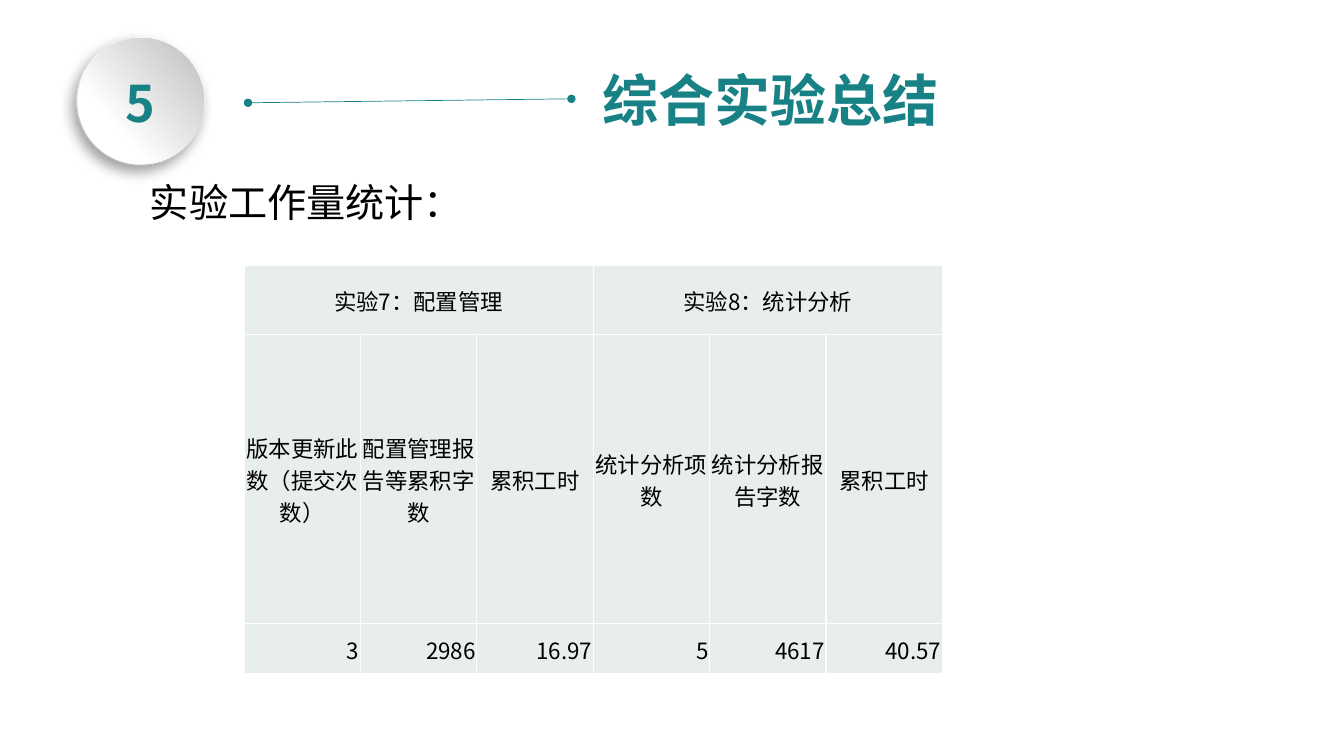
from lxml import etree
from pptx import Presentation
from pptx.dml.color import RGBColor
from pptx.enum import shapes, text
from pptx.oxml import ns, xmlchemy as xc
from pptx.util import Cm, Pt

FONT = "Noto Sans CJK SC"
TEAL, BLACK, WHITE, PALE = "188186", "000000", "FFFFFF", "E8EDED"
LEFT, MID, RIGHT = text.PP_ALIGN.LEFT, text.PP_ALIGN.CENTER, text.PP_ALIGN.RIGHT
HEADS = ["实验7：配置管理", "实验8：统计分析"]
ITEMS = ["版本更新此数（提交次数）", "配置管理报告等累积字数", "累积工时",
         "统计分析项数", "统计分析报告字数", "累积工时"]
COUNTS = ["3", "2986", "16.97", "5", "4617", "40.57"]


def tint(code):
    """Turn a hex string into a colour."""
    return RGBColor.from_string(code)


def node(root, tag, **attrs):
    """Add a child element with attributes and return it."""
    child = etree.SubElement(root, ns.qn(tag))
    for key, value in attrs.items():
        child.set(key, str(value))
    return child


def write(frame, words, align, color, **form):
    """Fill a text frame with one styled paragraph."""
    para = frame.paragraphs[0]
    para.alignment = align
    run = para.add_run()
    run.text = words
    for key, value in {"name": FONT, "bold": False, **form}.items():
        setattr(run.font, key, value)
    run.font.color.rgb = tint(color)
    node(run._r.get_or_add_rPr(), "a:ea", typeface=FONT)


def label(slide, box, words, align, color, wrap=True, **form):
    """Place a text box that holds one line."""
    frame = slide.shapes.add_textbox(*map(Cm, box)).text_frame
    frame.word_wrap = wrap
    frame.auto_size = text.MSO_AUTO_SIZE.SHAPE_TO_FIT_TEXT
    write(frame, words, align, color, **form)


def disc(slide, box, angle, stops):
    """Draw a round plate shaded from white to grey."""
    oval = slide.shapes.add_shape(shapes.MSO_SHAPE.OVAL, *map(Cm, box))
    oval.shadow.inherit = False
    oval.line.fill.background()
    oval.fill.gradient()
    oval.fill.gradient_angle = angle
    for stop, (place, color) in zip(oval.fill.gradient_stops, stops):
        stop.position = place
        stop.color.rgb = tint(color)
    return oval


def badge(slide, box, number):
    """Draw the raised section badge and its number."""
    x, y, w, h = box
    rim = disc(slide, box, 253, [(0.17, WHITE), (0.88, "B8B8B8")])
    cast = node(rim._element.spPr.find(ns.qn("a:effectLst")), "a:outerShdw",
                blurRad=Pt(10), dist=Pt(5), dir=123 * 60000, rotWithShape=0)
    node(node(cast, "a:srgbClr", val=BLACK), "a:alpha", val=39000)
    inset = 0.02
    disc(slide, (x + inset, y + inset, w - 2 * inset, h - 2 * inset),
         42, [(0.29, WHITE), (0.98, "BFBFBF")])
    label(slide, (x - 0.06, y + 0.76, w + 0.12, 1.8), number, MID, TEAL,
          size=Pt(36), bold=True)


def header(slide, box):
    """Place the badge, the dotted rule and the title."""
    x, y, w, h = box
    badge(slide, (x, y, h, h), "5")
    ends = (x + 4.32, y + 1.65, x + 12.47, y + 1.55)
    rule = slide.shapes.add_connector(shapes.MSO_CONNECTOR.STRAIGHT, *map(Cm, ends))
    rule.line.color.rgb = tint(TEAL)
    rule.line.width = Pt(0.5)
    for tag in ("a:headEnd", "a:tailEnd"):
        node(rule.line._ln, tag, type="oval")
    node(rule._element.spPr, "a:effectLst")
    label(slide, (x + 13.01, y + 0.58, w - 13.01, 1.96), "综合实验总结", LEFT, TEAL,
          wrap=False, size=Pt(40), bold=True)


def fence(cell):
    """Give a cell white edges on all four sides."""
    props = cell._tc.get_or_add_tcPr()
    for spot, side in enumerate("LRTB"):
        edge = xc.OxmlElement(f"a:ln{side}")
        edge.set("w", str(Pt(1)))
        node(node(edge, "a:solidFill"), "a:srgbClr", val=WHITE)
        props.insert(spot, edge)


def workload(slide, box):
    """Build the workload table."""
    x, y, w, h = box
    table = slide.shapes.add_table(3, 6, *map(Cm, box)).table
    table.first_row = table.horz_banding = False
    for col in table.columns:
        col.width = Cm(w / 6)
    for row, tall in zip(table.rows, (1.75, 7.29, h - 9.04)):
        row.height = Cm(tall)
    for start in (0, 3):
        table.cell(0, start).merge(table.cell(0, start + 2))
    form = {"vertical_anchor": text.MSO_ANCHOR.MIDDLE, "margin_left": Cm(0.03),
            "margin_right": Cm(0.03), "margin_top": Cm(0.03), "margin_bottom": 0}
    top = [HEADS[0], "", "", HEADS[1], "", ""]
    for r, (words, align) in enumerate([(top, MID), (ITEMS, MID), (COUNTS, RIGHT)]):
        for c, word in enumerate(words):
            cell = table.cell(r, c)
            for key, value in form.items():
                setattr(cell, key, value)
            cell.fill.solid()
            cell.fill.fore_color.rgb = tint(PALE)
            fence(cell)
            if word:
                write(cell.text_frame, word, align, BLACK, size=Pt(16))


def build():
    """Make the summary slide and save it."""
    deck = Presentation()
    deck.slide_width, deck.slide_height = Cm(33.87), Cm(19.05)
    slide = deck.slides.add_slide(deck.slide_layouts[6])
    header(slide, (1.93, 0.94, 22.08, 3.23))
    label(slide, (3.53, 4.37, 25.22, 1.45), "实验工作量统计：", LEFT, BLACK, size=Pt(28))
    workload(slide, (6.15, 6.68, 17.6, 10.29))
    deck.save("out.pptx")


build()
